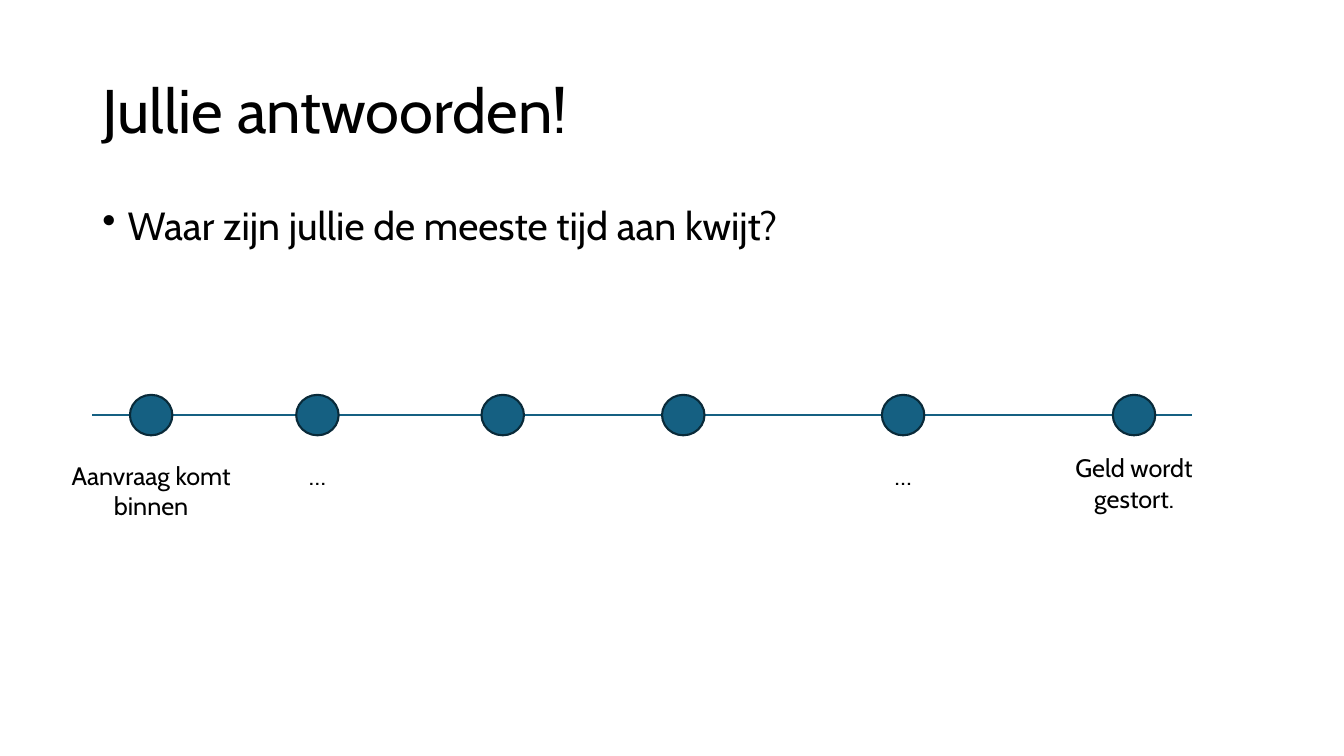
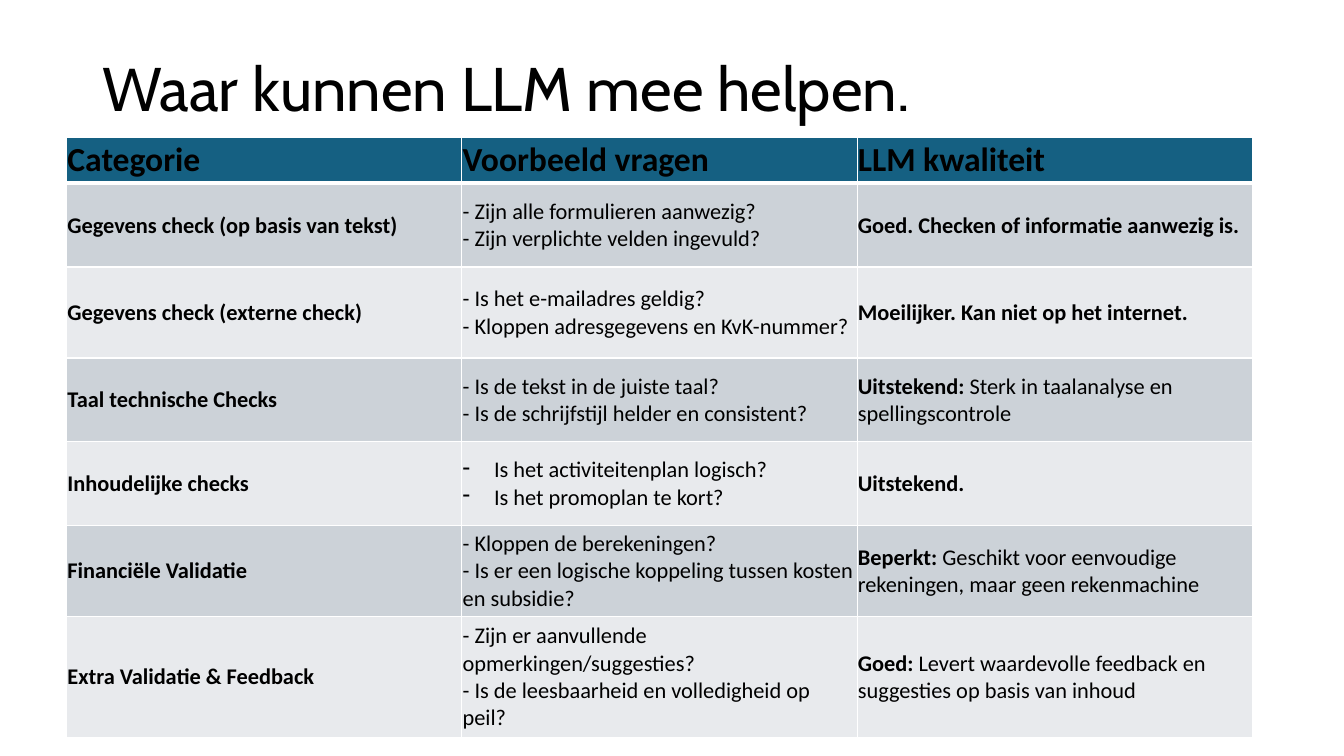
"""Build two slides on grant applications: a process timeline and a table of LLM uses."""
import pptx
import pptx.dml.color
import pptx.enum.shapes
import pptx.enum.text
import pptx.oxml.ns
import pptx.util
from lxml import etree
from pptx.util import Cm, Pt

RGBColor = pptx.dml.color.RGBColor
ALIGN = pptx.enum.text.PP_ALIGN
ANCHOR = pptx.enum.text.MSO_ANCHOR
qualified = pptx.oxml.ns.qn

BLUE = RGBColor(0x15, 0x60, 0x82)
DARK_BLUE = RGBColor(0x09, 0x2A, 0x39)
BLACK = RGBColor(0x00, 0x00, 0x00)
WHITE = RGBColor(0xFF, 0xFF, 0xFF)
BANDS = (RGBColor(0xCC, 0xD2, 0xD8), RGBColor(0xE8, 0xEA, 0xED))

SLIDE_FONT = "Cabin"
TABLE_FONT = "Calibri"
MARGIN = 2.33
CONTENT_WIDTH = 29.21

LINE_Y = 10.46
LINE_END = 30.05
STOP_WIDTH, STOP_HEIGHT = 1.07, 1.02
LABEL_WIDTH = 4.72
STOPS = [
    (3.81, "Aanvraag komt binnen", 11.48),
    (8.0, "…", 11.48),
    (12.67, "", 0),
    (17.22, "", 0),
    (22.76, "…", 11.48),
    (28.58, "Geld wordt gestort.", 11.28),
]

COLUMN_WIDTH = 9.96
ROW_HEIGHTS = (1.17, 2.11, 2.29, 2.11, 2.11, 2.29, 3.05)
HEADINGS = ("Categorie", "Voorbeeld vragen", "LLM kwaliteit")
CHECKS = [
    ("Gegevens check (op basis van tekst)",
     ("- Zijn alle formulieren aanwezig?", "- Zijn verplichte velden ingevuld?"),
     "Goed. Checken of informatie aanwezig is.", ""),
    ("Gegevens check (externe check)",
     ("- Is het e-mailadres geldig?", "- Kloppen adresgegevens en KvK-nummer?"),
     "Moeilijker. Kan niet op het internet.", ""),
    ("Taal technische Checks",
     ("- Is de tekst in de juiste taal?", "- Is de schrijfstijl helder en consistent?"),
     "Uitstekend:", " Sterk in taalanalyse en spellingscontrole"),
    ("Inhoudelijke checks",
     ("Is het activiteitenplan logisch?", "Is het promoplan te kort?"),
     "Uitstekend.", ""),
    ("Financiële Validatie",
     ("- Kloppen de berekeningen?",
      "- Is er een logische koppeling tussen kosten en subsidie?"),
     "Beperkt:", " Geschikt voor eenvoudige rekeningen, maar geen rekenmachine"),
    ("Extra Validatie & Feedback",
     ("- Zijn er aanvullende opmerkingen/suggesties?",
      "- Is de leesbaarheid en volledigheid op peil?"),
     "Goed:", " Levert waardevolle feedback en suggesties op basis van inhoud"),
]


def add_span(para, text, size, font=SLIDE_FONT, bold=False):
    span = para.add_run()
    span.text = text
    span.font.size = Pt(size)
    span.font.name = font
    span.font.bold = bold
    span.font.color.rgb = BLACK


def add_bullet(para, mark, indent):
    properties = para._p.get_or_add_pPr()
    properties.set("marL", str(Cm(indent)))
    properties.set("indent", str(-Cm(indent)))
    etree.SubElement(properties, qualified("a:buChar")).set("char", mark)


def add_text(slide, text, left, top, width, height, size):
    box = slide.shapes.add_textbox(Cm(left), Cm(top), Cm(width), Cm(height))
    box.text_frame.word_wrap = True
    para = box.text_frame.paragraphs[0]
    add_span(para, text, size)
    return box, para


def add_title(slide, text, top):
    box, para = add_text(slide, text, MARGIN, top, CONTENT_WIDTH, 3.68, 44)
    box.text_frame.vertical_anchor = ANCHOR.MIDDLE
    para.line_spacing = 0.9


def add_question(slide, text):
    _, para = add_text(slide, text, MARGIN, 5.08, CONTENT_WIDTH, 12.09, 28)
    para.line_spacing = 0.9
    para.space_before = Pt(10)
    add_bullet(para, "•", 0.64)


def add_timeline_line(slide):
    line = slide.shapes.add_connector(
        pptx.enum.shapes.MSO_CONNECTOR.STRAIGHT,
        Cm(MARGIN), Cm(LINE_Y), Cm(LINE_END), Cm(LINE_Y))
    line.line.color.rgb = BLUE
    line.line.width = Pt(1.5)
    etree.SubElement(line._element.spPr, qualified("a:effectLst"))


def add_stop(slide, center):
    stop = slide.shapes.add_shape(
        pptx.enum.shapes.MSO_SHAPE.OVAL,
        Cm(center - STOP_WIDTH / 2), Cm(LINE_Y - STOP_HEIGHT / 2),
        Cm(STOP_WIDTH), Cm(STOP_HEIGHT))
    stop.shadow.inherit = False
    stop.fill.solid()
    stop.fill.fore_color.rgb = BLUE
    stop.line.color.rgb = DARK_BLUE
    stop.line.width = Pt(1.5)


def add_stop_label(slide, text, center, top):
    height = 1.8 if " " in text else 1.03
    box, para = add_text(slide, text, center - LABEL_WIDTH / 2, top,
                         LABEL_WIDTH, height, 18)
    box.text_frame.auto_size = pptx.enum.text.MSO_AUTO_SIZE.SHAPE_TO_FIT_TEXT
    para.alignment = ALIGN.CENTER


def set_borders(cell, top=1, bottom=1):
    properties = cell._tc.get_or_add_tcPr()
    widths = (("L", 1), ("R", 1), ("T", top), ("B", bottom))
    for position, (side, width) in enumerate(widths):
        border = etree.Element(qualified(f"a:ln{side}"), w=str(Pt(width)))
        fill = etree.SubElement(border, qualified("a:solidFill"))
        etree.SubElement(fill, qualified("a:srgbClr")).set("val", str(WHITE))
        properties.insert(position, border)


def fill_cell(cell, color, lines, size=16):
    cell.margin_left = cell.margin_right = cell.margin_top = Cm(0.02)
    cell.margin_bottom = 0
    cell.vertical_anchor = ANCHOR.MIDDLE
    cell.fill.solid()
    cell.fill.fore_color.rgb = color
    frame = cell.text_frame
    for number, spans in enumerate(lines):
        para = frame.add_paragraph() if number else frame.paragraphs[0]
        for text, bold in spans:
            if text:
                add_span(para, text, size, TABLE_FONT, bold)


def add_checks_table(slide):
    table = slide.shapes.add_table(
        len(CHECKS) + 1, len(HEADINGS), Cm(1.68), Cm(3.45),
        Cm(COLUMN_WIDTH * len(HEADINGS)), Cm(sum(ROW_HEIGHTS))).table
    for column in table.columns:
        column.width = Cm(COLUMN_WIDTH)
    for row, height in zip(table.rows, ROW_HEIGHTS):
        row.height = Cm(height)
    for column, heading in enumerate(HEADINGS):
        cell = table.cell(0, column)
        fill_cell(cell, BLUE, [[(heading, True)]], 24)
        set_borders(cell, bottom=3)
    for row, (category, questions, verdict, reason) in enumerate(CHECKS, 1):
        contents = (
            [[(category, True)]],
            [[(question, False)] for question in questions],
            [[(verdict, True), (reason, False)]],
        )
        for column, lines in enumerate(contents):
            cell = table.cell(row, column)
            fill_cell(cell, BANDS[(row - 1) % 2], lines)
            set_borders(cell, top=3 if row == 1 else 1)
        if not questions[0].startswith("-"):
            for para in table.cell(row, 1).text_frame.paragraphs:
                add_bullet(para, "-", 0.79)


def build_timeline_slide(slide):
    add_title(slide, "Jullie antwoorden!", 1.01)
    add_question(slide, "Waar zijn jullie de meeste tijd aan kwijt?")
    add_timeline_line(slide)
    for center, label, top in STOPS:
        add_stop(slide, center)
        if label:
            add_stop_label(slide, label, center, top)


def build_checks_slide(slide):
    add_title(slide, "Waar kunnen LLM mee helpen.", 0.46)
    add_checks_table(slide)


def main():
    deck = pptx.Presentation()
    deck.slide_width, deck.slide_height = Cm(33.87), Cm(19.05)
    blank = deck.slide_layouts[6]
    for build in (build_timeline_slide, build_checks_slide):
        build(deck.slides.add_slide(blank))
    deck.save("out.pptx")


if __name__ == "__main__":
    main()
